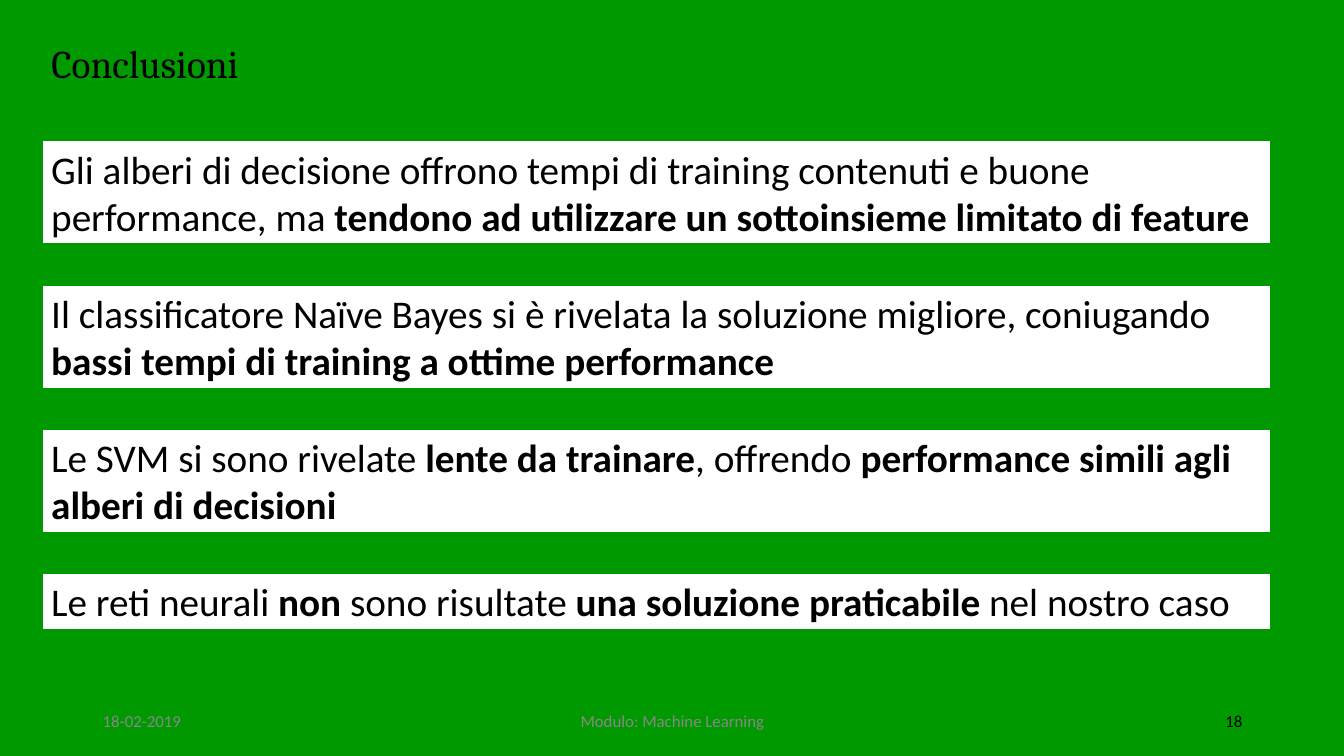
import pptx
import pptx.dml.color
import pptx.enum.shapes
import pptx.enum.text
import pptx.util

Inches = pptx.util.Inches
Pt = pptx.util.Pt
RGBColor = pptx.dml.color.RGBColor
PP_ALIGN = pptx.enum.text.PP_ALIGN
MSO_ANCHOR = pptx.enum.text.MSO_ANCHOR
RECTANGLE = pptx.enum.shapes.MSO_SHAPE.RECTANGLE

GREEN = RGBColor(0x00, 0x99, 0x00)
WHITE = RGBColor(0xFF, 0xFF, 0xFF)
BLACK = RGBColor(0x00, 0x00, 0x00)
GREY = RGBColor(0x88, 0x88, 0x88)


def write(sp, text, size=28, font="Calibri", color=BLACK, align=PP_ALIGN.LEFT):
    """Fill a shape with one paragraph; parts between asterisks are bold."""
    tf = sp.text_frame
    tf.word_wrap = True
    tf.auto_size = pptx.enum.text.MSO_AUTO_SIZE.NONE
    tf.vertical_anchor = MSO_ANCHOR.MIDDLE
    p = tf.paragraphs[0]
    p.alignment = align
    for i, part in enumerate(text.split("*")):
        if part:
            r = p.add_run()
            r.text = part
            r.font.size = Pt(size)
            r.font.name = font
            r.font.color.rgb = color
            r.font.bold = i % 2 == 1


def add_bar(left, top, width, height, fill, line_width):
    sp = slide.shapes.add_shape(RECTANGLE, Inches(left), Inches(top), Inches(width), Inches(height))
    sp.shadow.inherit = False
    sp.fill.solid()
    sp.fill.fore_color.rgb = fill
    sp.line.color.rgb = GREEN
    sp.line.width = Pt(line_width)
    return sp


prs = pptx.Presentation()
prs.slide_width = Inches(13.33)
prs.slide_height = Inches(7.5)
slide = prs.slides.add_slide(prs.slide_layouts[5])
slide.background.fill.solid()
slide.background.fill.fore_color.rgb = GREEN

# Title and the rule below it
title = slide.shapes.title
title.left, title.top = Inches(0.41), Inches(0.22)
title.width, title.height = Inches(11.76), Inches(0.81)
write(title, "Conclusioni", font="Cambria")
add_bar(0, 1.06, 12.24, 0.05, GREEN, 1)

# Footer: date, module, slide number
footer = [
    (0.92, 3, "18-02-2019", GREY, PP_ALIGN.LEFT),
    (4.42, 4.5, "Modulo: Machine Learning", GREY, PP_ALIGN.CENTER),
    (9.42, 3, "18", BLACK, PP_ALIGN.RIGHT),
]
for left, width, text, color, align in footer:
    sp = slide.shapes.add_textbox(Inches(left), Inches(6.95), Inches(width), Inches(0.4))
    write(sp, text, size=12, color=color, align=align)

# Conclusions, evenly spaced from top to bottom
conclusions = [
    (1.04, "Gli alberi di decisione offrono tempi di training contenuti e buone performance, ma "
           "*tendono ad utilizzare un sottoinsieme limitato di feature*"),
    (1.04, "Il classificatore Naïve Bayes si è rivelata la soluzione migliore, coniugando "
           "*bassi tempi di training a ottime performance*"),
    (1.04, "Le SVM si sono rivelate *lente da trainare*, offrendo "
           "*performance simili agli alberi di decisioni*"),
    (0.57, "Le reti neurali *non* sono risultate *una soluzione praticabile *nel nostro caso"),
]
for i, (height, text) in enumerate(conclusions):
    sp = add_bar(0.41, 1.39 + 1.43 * i, 12.2, height, WHITE, 2)
    write(sp, text)
    sp.text_frame.vertical_anchor = MSO_ANCHOR.TOP

prs.save("out.pptx")
